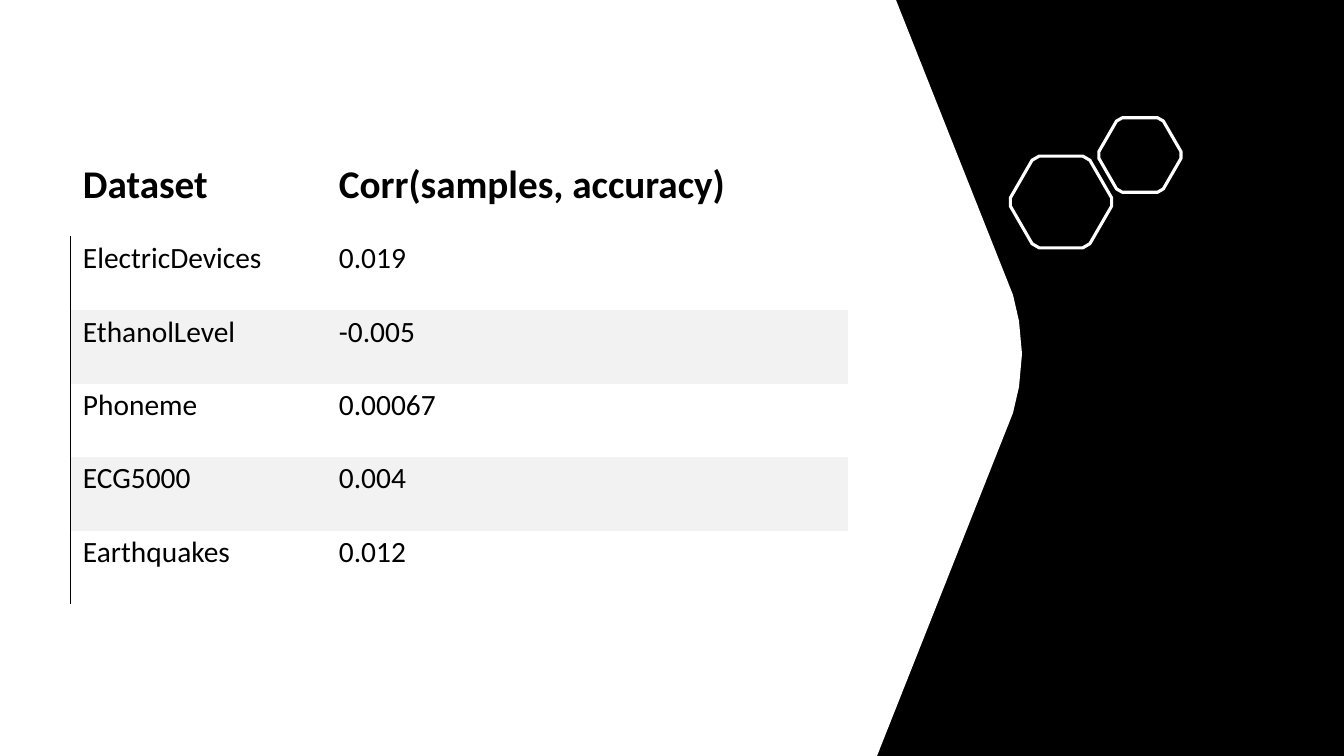
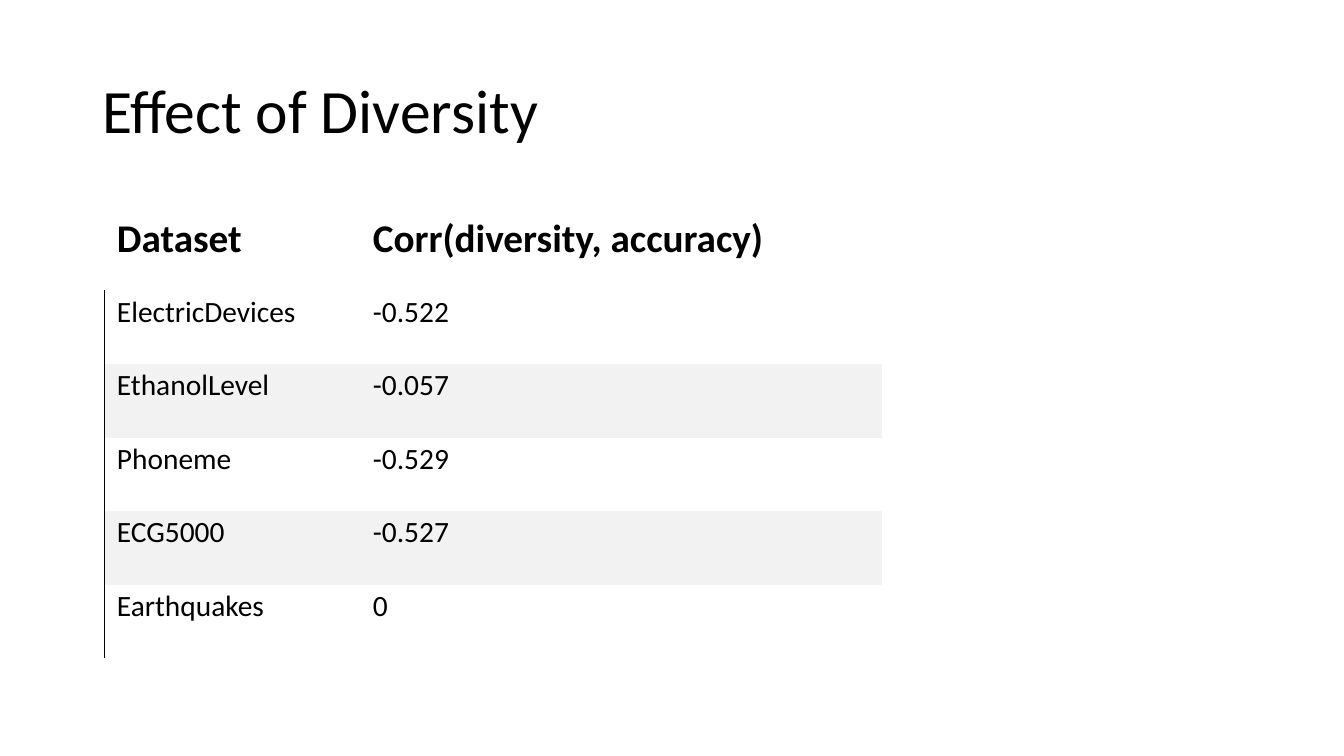
"""Build two slides of correlation tables, the first with a dark angled side panel."""
from math import cos, pi, sin

from lxml.etree import SubElement
from pptx import Presentation
from pptx.dml.color import RGBColor as RGB
from pptx.enum.shapes import MSO_SHAPE as SHAPE
from pptx.enum.text import MSO_ANCHOR as ANCHOR, PP_ALIGN as ALIGN
from pptx.oxml import parse_xml
from pptx.oxml.ns import nsdecls, qn
from pptx.util import Pt

PX = 914400 / 100.8
W, H = 1344, 756
FONT = "Calibri"
COLORS = {"ink": "000000", "paper": "FFFFFF", "band": "F2F2F2"}
RGBS = {name: RGB.from_string(value) for name, value in COLORS.items()}
NO_STYLE = "{2D5ABB26-0587-4C30-8999-92F81FD0307C}"
COLS = (256, 522)
HEAD_H = 86
BODY_ROWS = (74, 74, 73, 74, 73)
DATASETS = ("ElectricDevices", "EthanolLevel", "Phoneme", "ECG5000", "Earthquakes")
TABLES = (
    (70, 150, "Corr(samples, accuracy)", ("0.019", "-0.005", "0.00067", "0.004", "0.012")),
    (104, 204, "Corr(diversity, accuracy)", ("-0.522", "-0.057", "-0.529", "-0.527", "0")),
)
PANEL = ((0, 0), (896, 0), (1013, 295), (1019, 321), (1022, 354), (1019, 387),
         (1013, 413), (877, H), (0, H))
HEXAGONS = ((1061, 202, 53), (1140, 155, 43))
CORNER = 0.09


def px(n):
    return round(n * PX)


prs = Presentation()
prs.slide_width, prs.slide_height = px(W), px(H)
cover = prs.slides.add_slide(prs.slide_layouts[6])
diversity = prs.slides.add_slide(prs.slide_layouts[5])

side = cover.shapes.add_shape(SHAPE.RECTANGLE, 0, 0, px(W), px(H))
side.fill.solid()
side.fill.fore_color.rgb = RGBS["ink"]
side.line.fill.background()
side.shadow.inherit = False

outlines = [PANEL]
for cx, cy, radius in HEXAGONS:
    corners = [(cx + radius * cos(i * pi / 3), cy + radius * sin(i * pi / 3)) for i in range(6)]
    points = []
    for i, (x, y) in enumerate(corners):
        for nx, ny in (corners[i - 1], corners[(i + 1) % 6]):
            points.append((x + (nx - x) * CORNER, y + (ny - y) * CORNER))
    outlines.append(points)

hexagons = None
for i, points in enumerate(outlines):
    if i == 1:
        hexagons = cover.shapes.add_group_shape()
    shapes = hexagons.shapes if hexagons else cover.shapes
    points = [(px(x), px(y)) for x, y in points]
    builder = shapes.build_freeform(*points[0])
    builder.add_line_segments(points[1:], close=True)
    sp = builder.convert_to_shape()
    sp.shadow.inherit = False
    if hexagons:
        sp.fill.background()
        sp.line.color.rgb = RGBS["paper"]
        sp.line.width = Pt(2.25)
    else:
        sp.fill.solid()
        sp.fill.fore_color.rgb = RGBS["paper"]
        sp.line.fill.background()

title = diversity.shapes.title
title.left, title.top, title.width, title.height = px(92), px(41), px(1159), px(146)
tf = title.text_frame
tf.text = "Effect of Diversity"
tf.vertical_anchor = ANCHOR.MIDDLE
p = tf.paragraphs[0]
p.alignment = ALIGN.LEFT
p.line_spacing = 0.9
p.font.name, p.font.size = FONT, Pt(44)
p.font.color.rgb = RGBS["ink"]

for s, (left, top, measure, values) in zip((cover, diversity), TABLES):
    rows = [("Dataset", measure), *zip(DATASETS, values)]
    heights = (HEAD_H, *BODY_ROWS)
    frame = s.shapes.add_table(len(rows), len(COLS), px(left), px(top),
                               px(sum(COLS)), px(sum(heights)))
    frame._element.xpath(".//a:tableStyleId")[0].text = NO_STYLE
    table = frame.table
    table.horz_banding = False
    for column, width in zip(table.columns, COLS):
        column.width = px(width)
    for r, (texts, height) in enumerate(zip(rows, heights)):
        head = r == 0
        table.rows[r].height = px(height)
        for c, text in enumerate(texts):
            cell = table.cell(r, c)
            cell.text = text
            cell.margin_left, cell.margin_top = px(13), px(4)
            cell.margin_right, cell.margin_bottom = px(18), px(27)
            cell.vertical_anchor = ANCHOR.BOTTOM if head else ANCHOR.TOP
            p = cell.text_frame.paragraphs[0]
            p.font.name, p.font.size, p.font.bold = FONT, Pt(28 if head else 21), head
            p.font.color.rgb = RGBS["ink"]
            if not head and r % 2 == 0:
                cell.fill.solid()
                cell.fill.fore_color.rgb = RGBS["band"]
            else:
                cell.fill.background()
            if c == 0 and not head:
                border = parse_xml(f'<a:lnL {nsdecls("a")} w="{Pt(0.75)}"/>')
                fill = SubElement(border, qn("a:solidFill"))
                SubElement(fill, qn("a:srgbClr"), val=COLORS["ink"])
                cell._tc.get_or_add_tcPr().insert(0, border)

prs.save("out.pptx")
